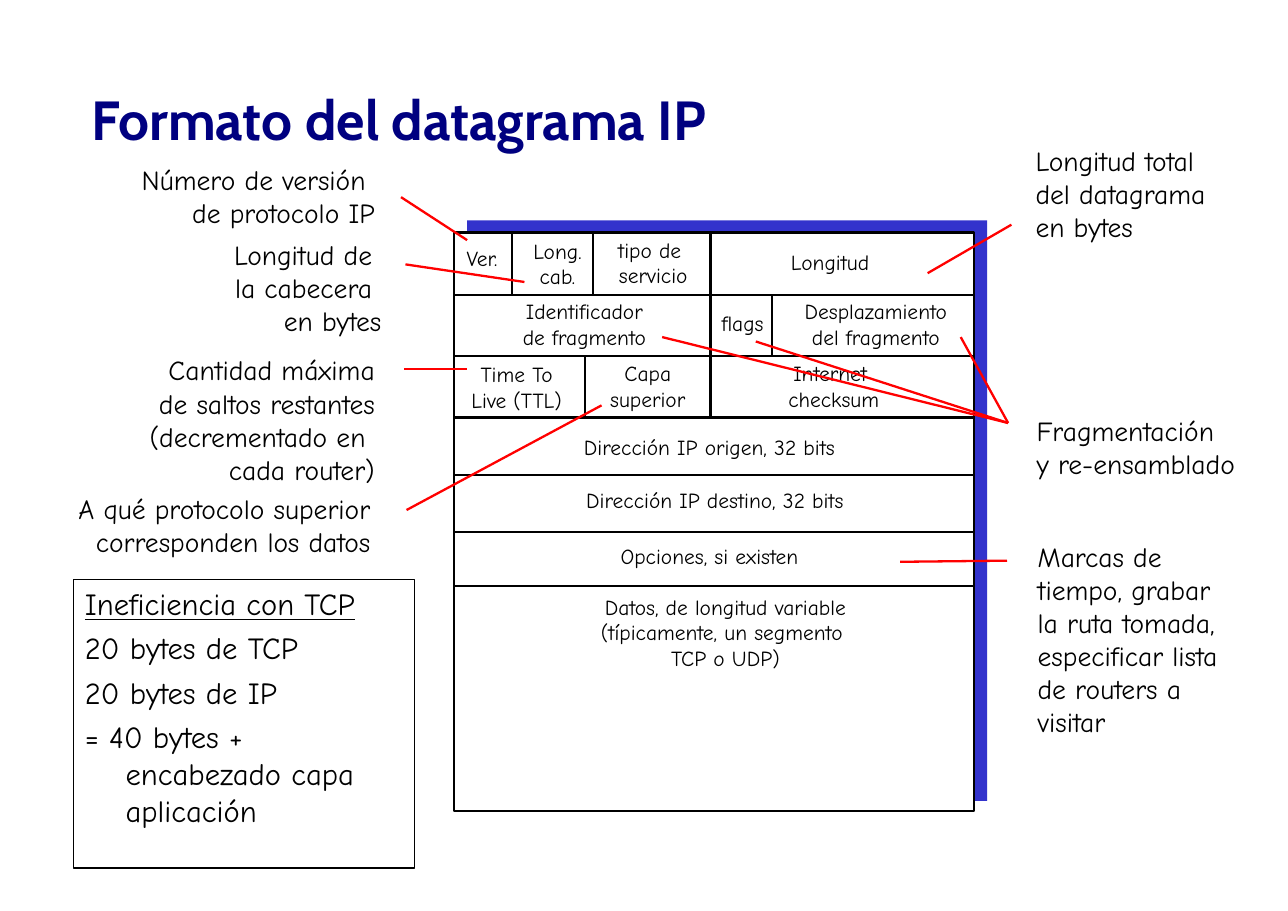
from lxml import etree
from pptx import Presentation
from pptx.dml.color import RGBColor
from pptx.enum.shapes import MSO_CONNECTOR, MSO_SHAPE
from pptx.enum.text import MSO_ANCHOR, MSO_AUTO_SIZE, PP_ALIGN
from pptx.oxml.ns import qn
from pptx.util import Inches, Pt

LEFT, CENTER, RIGHT = PP_ALIGN.LEFT, PP_ALIGN.CENTER, PP_ALIGN.RIGHT
TOP, MIDDLE = MSO_ANCHOR.TOP, MSO_ANCHOR.MIDDLE
NO_AUTOFIT, GROW = MSO_AUTO_SIZE.NONE, MSO_AUTO_SIZE.SHAPE_TO_FIT_TEXT
RECTANGLE, STRAIGHT = MSO_SHAPE.RECTANGLE, MSO_CONNECTOR.STRAIGHT

NAVY = RGBColor(0x00, 0x00, 0x80)
BLUE = RGBColor(0x33, 0x33, 0xCC)
WHITE = RGBColor(0xFF, 0xFF, 0xFF)
BLACK = RGBColor(0x00, 0x00, 0x00)
RED = RGBColor(0xFF, 0x00, 0x00)

TITLE_FONT, TEXT_FONT = "Cabin", "Comic Neue"

# Datagram frame and the horizontal rules between its rows
FRAME_LEFT, FRAME_TOP, FRAME_WIDTH, FRAME_HEIGHT = 4.12, 2.11, 4.72, 5.25
ROW_RULES = [2.68, 3.23, 3.79, 4.31, 4.83, 5.32]
ROW_EDGES = [FRAME_TOP] + ROW_RULES

# x, first row, row after the last one
DIVIDERS = [(4.65, 0, 1), (5.38, 0, 1), (6.45, 0, 3), (7.01, 1, 2), (5.31, 2, 3)]

# text, left, top, width, height
FIELDS = [
    ("Ver.", 4.12, 2.18, 0.51, 0.33),
    ("Long.\ncab.", 4.74, 2.11, 0.64, 0.55),
    ("tipo de \nservicio", 5.51, 2.1, 0.84, 0.55),
    ("Longitud", 7.08, 2.21, 0.91, 0.33),
    ("Identificador\nde fragmento", 4.02, 2.66, 2.57, 0.55),
    ("flags", 6.28, 2.77, 0.92, 0.33),
    ("Desplazamiento\ndel fragmento", 7.06, 2.66, 1.78, 0.55),
    ("Time To\nLive (TTL)", 4.18, 3.23, 1.02, 0.55),
    ("Capa\vsuperior", 5.33, 3.22, 1.1, 0.55),
    ("Internet\n checksum", 6.99, 3.22, 1.09, 0.55),
    ("Dirección IP origen, 32 bits", 5.2, 3.89, 2.48, 0.33),
    ("Dirección IP destino, 32 bits", 5.22, 4.37, 2.54, 0.33),
    ("Opciones, si existen", 5.53, 4.88, 1.82, 0.33),
    ("Datos, de longitud variable\n(típicamente, un segmento \nTCP o UDP)",
     5.35, 5.34, 2.47, 0.77),
]

LEFT_NOTES = [
    ("Número de versión \nde protocolo IP", 1.18, 1.43, 2.32, 0.68),
    ("Longitud de \vla cabecera \nen bytes", 2.02, 2.11, 1.54, 0.97),
    ("Cantidad máxima\nde saltos restantes\n(decrementado en \ncada router)",
     1.25, 3.16, 2.25, 1.26),
    ("A qué protocolo superior\vcorresponden los datos", 0.6, 4.42, 2.86, 0.68),
]

RIGHT_NOTES = [
    ("Longitud total\vdel datagrama\ven bytes", 9.3, 1.26, 1.75, 0.97),
    ("Fragmentación\vy re-ensamblado", 9.31, 3.71, 2, 0.68),
    ("Marcas de \vtiempo, grabar\vla ruta tomada,\n"
     "especificar lista\vde routers a \vvisitar", 9.32, 4.85, 1.84, 1.83),
]

# Start at the note, then the fields it points to
POINTERS = [
    ((3.64, 1.79), [(4.24, 2.18)]),
    ((3.68, 2.4), [(4.76, 2.56)]),
    ((3.67, 3.35), [(4.24, 3.35)]),
    ((3.69, 4.63), [(5.46, 3.68)]),
    ((9.18, 2.04), [(8.42, 2.48)]),
    ((9.15, 3.84), [(6.01, 3.06), (6.86, 3.1), (8.72, 3.06)]),
    ((9.14, 5.09), [(8.17, 5.1)]),
]

OVERHEAD = ("Ineficiencia con TCP\n20 bytes de TCP\n20 bytes de IP\n"
            "= 40 bytes + encabezado capa aplicación")


def place(shape, left, top, width, height):
    shape.left, shape.top = Inches(left), Inches(top)
    shape.width, shape.height = Inches(width), Inches(height)


def write(text_frame, text, size, align, font=TEXT_FONT, color=BLACK, bold=False):
    text_frame.text = text
    for paragraph in text_frame.paragraphs:
        paragraph.alignment = align
        for run in paragraph.runs:
            run.font.name = font
            run.font.size = Pt(size)
            run.font.bold = bold
            run.font.color.rgb = color


def add_title(slide):
    title = slide.shapes.title
    place(title, 0.73, 0.4, 10.57, 1.35)
    write(title.text_frame, "Formato del datagrama IP", 36, LEFT, TITLE_FONT, NAVY, True)
    title.text_frame.auto_size = NO_AUTOFIT
    title.text_frame.vertical_anchor = MIDDLE


def add_overhead_box(slide):
    """Fill the body placeholder with the outlined sum of header bytes."""
    body = slide.placeholders[1]
    place(body, 0.67, 5.26, 3.09, 2.62)
    body.line.color.rgb = BLACK
    body.line.width = Pt(0.75)
    text_frame = body.text_frame
    write(text_frame, OVERHEAD, 20, LEFT)
    text_frame.auto_size = NO_AUTOFIT
    text_frame.vertical_anchor = TOP
    text_frame.paragraphs[0].runs[0].font.underline = True
    for paragraph in text_frame.paragraphs:
        paragraph.space_before = Pt(5)
        properties = paragraph._p.get_or_add_pPr()
        properties.set("marL", str(Inches(0.37)))
        properties.set("indent", str(-Inches(0.37)))
        etree.SubElement(properties, qn("a:buNone"))


def add_rectangle(slide, left, top, width, height, fill, outline=None):
    shape = slide.shapes.add_shape(
        RECTANGLE, Inches(left), Inches(top), Inches(width), Inches(height))
    shape.shadow.inherit = False
    shape.fill.solid()
    shape.fill.fore_color.rgb = fill
    if outline is None:
        shape.line.fill.background()
    else:
        shape.line.color.rgb = outline
        shape.line.width = Pt(1.5)


def add_line(slide, start, end, color):
    line = slide.shapes.add_connector(STRAIGHT, *map(Inches, start + end))
    line.line.color.rgb = color
    line.line.width = Pt(1.5)
    etree.SubElement(line._element.spPr, qn("a:effectLst"))


def add_label(slide, label, size, align):
    text, *box = label
    text_frame = slide.shapes.add_textbox(*map(Inches, box)).text_frame
    write(text_frame, text, size, align)
    text_frame.word_wrap = False
    text_frame.auto_size = GROW


def add_datagram(slide):
    add_rectangle(slide, 4.24, 2, 4.72, 5.27, BLUE)
    add_rectangle(slide, FRAME_LEFT, FRAME_TOP, FRAME_WIDTH, FRAME_HEIGHT, WHITE, BLACK)
    for y in ROW_RULES:
        add_line(slide, (FRAME_LEFT, y), (FRAME_LEFT + FRAME_WIDTH, y), BLACK)
    for x, first, last in DIVIDERS:
        add_line(slide, (x, ROW_EDGES[first]), (x, ROW_EDGES[last]), BLACK)
    for field in FIELDS:
        add_label(slide, field, 14, CENTER)


def add_notes_with_pointers(slide):
    for notes, align in ((LEFT_NOTES, RIGHT), (RIGHT_NOTES, LEFT)):
        for note in notes:
            add_label(slide, note, 18, align)
    for start, ends in POINTERS:
        for end in ends:
            add_line(slide, start, end, RED)


def main():
    presentation = Presentation()
    presentation.slide_width = Inches(11.69)
    presentation.slide_height = Inches(8.27)
    slide = presentation.slides.add_slide(presentation.slide_layouts[1])
    add_title(slide)
    add_datagram(slide)
    add_notes_with_pointers(slide)
    add_overhead_box(slide)
    presentation.save("out.pptx")


if __name__ == "__main__":
    main()
